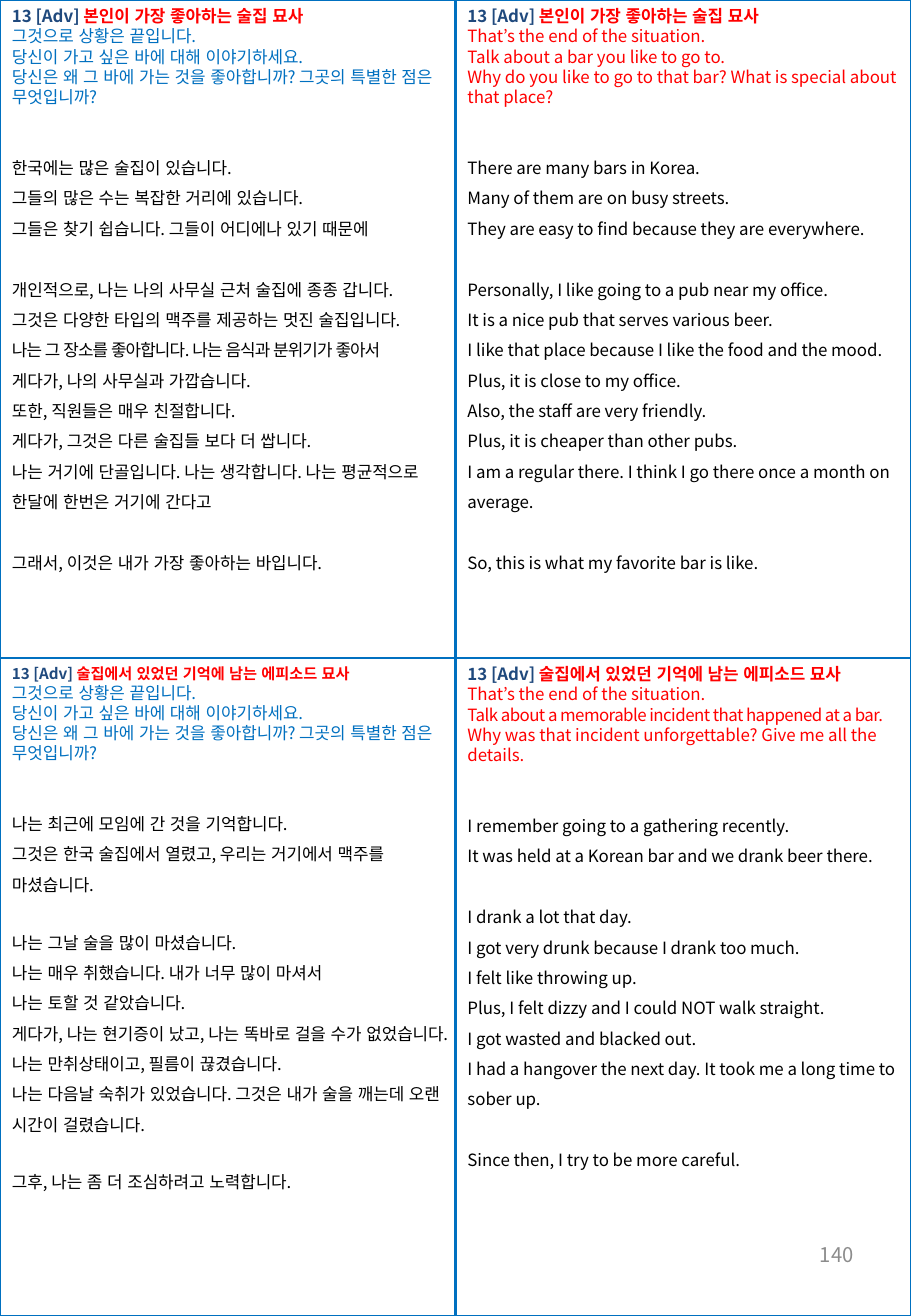
from pptx import Presentation
from pptx.dml.color import RGBColor
from pptx.enum.lang import MSO_LANGUAGE_ID
from pptx.enum.shapes import MSO_CONNECTOR, MSO_SHAPE
from pptx.enum.text import MSO_ANCHOR, PP_ALIGN
from pptx.oxml.ns import qn
from pptx.util import Pt
from lxml import etree

STRAIGHT = MSO_CONNECTOR.STRAIGHT
RECTANGLE = MSO_SHAPE.RECTANGLE
MIDDLE = MSO_ANCHOR.MIDDLE
RIGHT = PP_ALIGN.RIGHT
KOREAN = MSO_LANGUAGE_ID.KOREAN

BLUE = RGBColor(0x00, 0x70, 0xC0)
NAVY = RGBColor(0x1F, 0x49, 0x7D)
RED = RGBColor(0xFF, 0x00, 0x00)
BLACK = RGBColor(0x00, 0x00, 0x00)
GREY = RGBColor(0x8C, 0x8C, 0x8C)
FONT = "Noto Sans CJK KR"

PAGE_WIDTH, PAGE_HEIGHT = 540, 780
COLUMN, ROW = PAGE_WIDTH / 2, PAGE_HEIGHT / 2
SINGLE, WIDE = 12, 18  # line pitch of prompts and answers
PROMPT_GAP = 24

LABEL = "13 [Adv] "
FAVORITE = "본인이 가장 좋아하는 술집 묘사"
EPISODE = "술집에서 있었던 기억에 남는 에피소드 묘사"
KOREAN_PROMPT = [
    "그것으로 상황은 끝입니다.\v당신이 가고 싶은 바에 대해 이야기하세요.\v"
    "당신은 왜 그 바에 가는 것을 좋아합니까? 그곳의 특별한 점은 무엇입니까?"]

# Letter spacing of the tightened lines
TIGHT = {
    "나는 그 장소를 좋아합니다. 나는 음식과 분위기가 좋아서": -50,
    "Talk about a memorable incident that happened at a bar.": -30,
}

# Column, row, height, title, title size, prompt colour, prompt, answer gap, answer groups
PANELS = [
    (0, 0, 344, FAVORITE, 10, BLUE, KOREAN_PROMPT, 18, [
        ["한국에는 많은 술집이 있습니다.",
         "그들의 많은 수는 복잡한 거리에 있습니다.",
         "그들은 찾기 쉽습니다. 그들이 어디에나 있기 때문에"],
        ["개인적으로, 나는 나의 사무실 근처 술집에 종종 갑니다.",
         "그것은 다양한 타입의 맥주를 제공하는 멋진 술집입니다.",
         "나는 그 장소를 좋아합니다. 나는 음식과 분위기가 좋아서",
         "게다가, 나의 사무실과 가깝습니다.",
         "또한, 직원들은 매우 친절합니다.",
         "게다가, 그것은 다른 술집들 보다 더 쌉니다.",
         "나는 거기에 단골입니다. 나는 생각합니다. 나는 평균적으로 한달에 한번은 거기에 간다고"],
        ["그래서, 이것은 내가 가장 좋아하는 바입니다."]]),
    (1, 0, 355, FAVORITE, 10, RED, [
        "That’s the end of the situation.",
        "Talk about a bar you like to go to.",
        "Why do you like to go to that bar? What is special about that place?"], 18, [
        ["There are many bars in Korea.",
         "Many of them are on busy streets.",
         "They are easy to find because they are everywhere."],
        ["Personally, I like going to a pub near my office.",
         "It is a nice pub that serves various beer.",
         "I like that place because I like the food and the mood.",
         "Plus, it is close to my office.",
         "Also, the staff are very friendly.",
         "Plus, it is cheaper than other pubs.",
         "I am a regular there. I think I go there once a month on average."],
        ["So, this is what my favorite bar is like."]]),
    (0, 1, 339, EPISODE, 9, BLUE, KOREAN_PROMPT, 16.2, [
        ["나는 최근에 모임에 간 것을 기억합니다.",
         "그것은 한국 술집에서 열렸고, 우리는 거기에서 맥주를 마셨습니다."],
        ["나는 그날 술을 많이 마셨습니다.",
         "나는 매우 취했습니다. 내가 너무 많이 마셔서",
         "나는 토할 것 같았습니다.",
         "게다가, 나는 현기증이 났고, 나는 똑바로 걸을 수가 없었습니다.",
         "나는 만취상태이고, 필름이 끊겼습니다.",
         "나는 다음날 숙취가 있었습니다. 그것은 내가 술을 깨는데 오랜 시간이 걸렸습니다."],
        ["그후, 나는 좀 더 조심하려고 노력합니다."]]),
    (1, 1, 307, EPISODE, 10, RED, [
        "That’s the end of the situation.",
        "Talk about a memorable incident that happened at a bar.",
        "Why was that incident unforgettable? Give me all the details."], 18, [
        ["I remember going to a gathering recently.",
         "It was held at a Korean bar and we drank beer there."],
        ["I drank a lot that day.",
         "I got very drunk because I drank too much.",
         "I felt like throwing up.",
         "Plus, I felt dizzy and I could NOT walk straight.",
         "I got wasted and blacked out.",
         "I had a hangover the next day. It took me a long time to sober up."],
        ["Since then, I try to be more careful."]]),
]


def style(span, size, color, bold=False):
    span.font.size = Pt(size)
    span.font.bold = bold
    span.font.color.rgb = color
    span.font.name = FONT
    span.font.language_id = KOREAN
    properties = span.font._element
    etree.SubElement(properties, qn("a:ea")).set("typeface", FONT)
    if span.text in TIGHT:
        properties.set("spc", str(TIGHT[span.text]))


def add_line(frame, text, color, pitch, before=0):
    para = frame.add_paragraph()
    para.text = text
    para.line_spacing = Pt(pitch)
    para.space_before = Pt(before)
    for span in para.runs:
        style(span, 10, color)


deck = Presentation()
deck.slide_width, deck.slide_height = Pt(PAGE_WIDTH), Pt(PAGE_HEIGHT)
page = deck.slides.add_slide(deck.slide_layouts[6])

# Page frame
border = page.shapes.add_shape(RECTANGLE, 0, 0, Pt(PAGE_WIDTH), Pt(PAGE_HEIGHT))
border.shadow.inherit = False
border.fill.background()
border.line.color.rgb = BLUE
border.line.width = Pt(1.5)

# Dividers between the four panels
for start, end in [(1, 3), (0, 2)]:
    divider = page.shapes.add_connector(STRAIGHT, 0, 0, 0, 0)
    divider.begin_connect(border, start)
    divider.end_connect(border, end)
    divider.line.color.rgb = BLUE
    divider.line.width = Pt(1.5)
    etree.SubElement(divider._element.spPr, qn("a:effectLst"))

# Page number
number = page.shapes.add_textbox(Pt(387), Pt(723), Pt(126), Pt(41.5))
number.text_frame.word_wrap = True
number.text_frame.vertical_anchor = MIDDLE
number.text_frame.text = "140"
number.text_frame.paragraphs[0].alignment = RIGHT
style(number.text_frame.paragraphs[0].runs[0], 12, GREY)

# Question and answer panels
for column, row, height, title, title_size, prompt_color, prompt, gap, groups in PANELS:
    box = page.shapes.add_textbox(Pt(column * COLUMN), Pt(row * ROW), Pt(COLUMN), Pt(height))
    frame = box.text_frame
    frame.word_wrap = True
    heading = frame.paragraphs[0]
    heading.line_spacing = Pt(title_size * 1.2)
    for text, color in [(LABEL, NAVY), (title, RED)]:
        span = heading.add_run()
        span.text = text
        style(span, title_size, color, bold=True)
    for text in prompt:
        add_line(frame, text, prompt_color, SINGLE)
    for group_index, group in enumerate(groups):
        for line_index, text in enumerate(group):
            before = 0 if line_index else gap if group_index else PROMPT_GAP
            add_line(frame, text, BLACK, WIDE, before)

deck.save("out.pptx")
